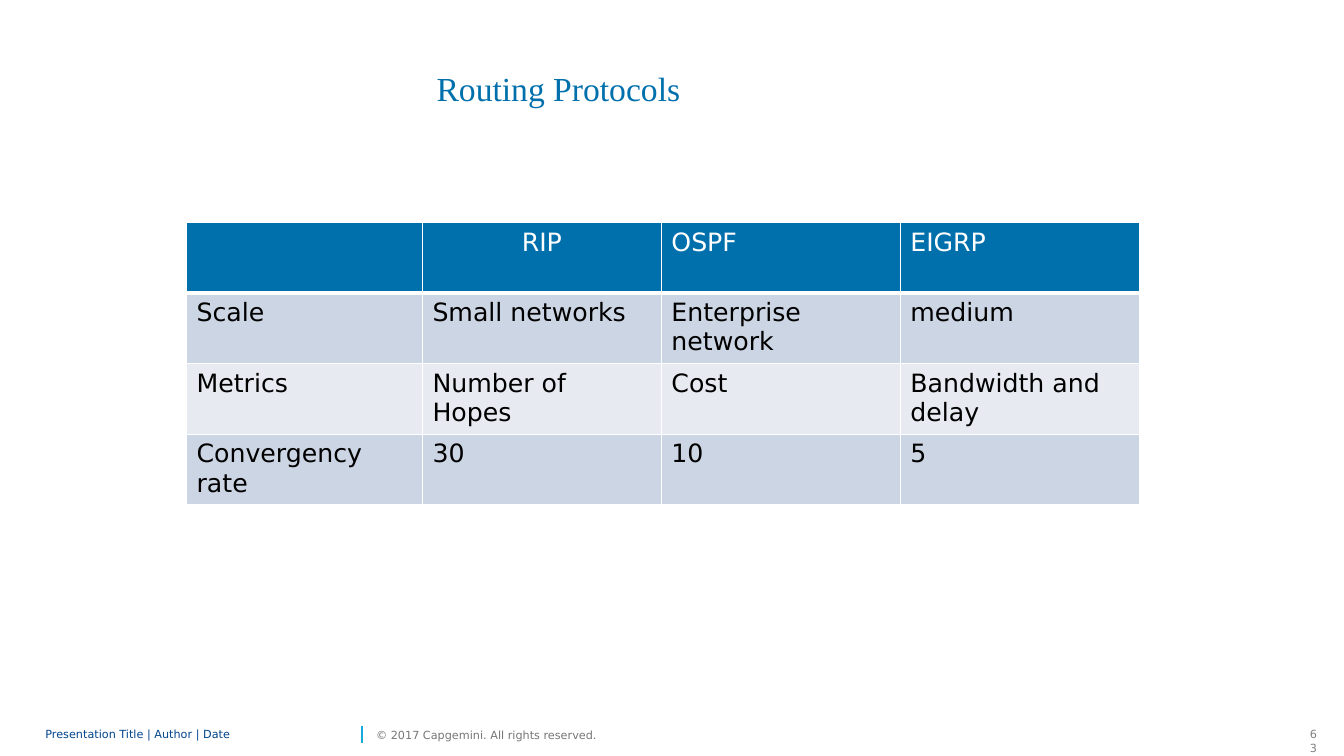
from dataclasses import dataclass

from lxml import etree
from pptx import Presentation
from pptx.dml.color import RGBColor
from pptx.enum.shapes import MSO_CONNECTOR
from pptx.enum.text import MSO_ANCHOR, PP_ALIGN
from pptx.oxml.ns import qn
from pptx.util import Inches, Pt

LEFT, CENTER, RIGHT = PP_ALIGN.LEFT, PP_ALIGN.CENTER, PP_ALIGN.RIGHT
TOP, MIDDLE = MSO_ANCHOR.TOP, MSO_ANCHOR.MIDDLE
STRAIGHT = MSO_CONNECTOR.STRAIGHT

SANS, SERIF = "DejaVu Sans", "Times New Roman"
BLUE, WHITE, BLACK = "0070AD", "FFFFFF", "000000"
BANDS = ("CCD5E3", "E7EBF1")
COLS = (2.34, 2.37, 2.37, 2.37)
ROW = 0.7
ROWS = (
    ("", "RIP", "OSPF", "EIGRP"),
    ("Scale", "Small networks", "Enterprise network", "medium"),
    ("Metrics", "Number of Hopes", "Cost", "Bandwidth and delay"),
    ("Convergency rate", "30", "10", "5"),
)


@dataclass
class Note:
    text: str
    left: float
    width: float
    color: str
    inset: float = 0
    wrap: bool = True
    align: PP_ALIGN = LEFT
    anchor: MSO_ANCHOR = MIDDLE
    space: float = 1.0


NOTES = (
    Note("Presentation Title | Author | Date", 0.45, 3.09, "00458D", space=0.85),
    Note("© 2017 Capgemini. All rights reserved.", 3.73, 2.43, "767676", wrap=False),
    Note("63", 12.89, 0.27, "808080", inset=0.1, align=RIGHT, anchor=TOP),
)


def rgb(code: str) -> RGBColor:
    return RGBColor.from_string(code)


def write(frame, text: str, *, size: float, color: str, font: str = SANS,
          align: PP_ALIGN = LEFT, space: float = 1.0) -> None:
    para = frame.paragraphs[0]
    para.alignment = align
    para.line_spacing = space
    para.font.size = Pt(size)
    if not text:
        return
    run = para.add_run()
    run.text = text
    run.font.name = font
    run.font.size = Pt(size)
    run.font.bold = False
    run.font.color.rgb = rgb(color)


def edge(cell, bottom: float) -> None:
    """Draw white borders; call before the cell's fill is set."""
    props = cell._tc.get_or_add_tcPr()
    for side, width in (("L", 1), ("R", 1), ("T", 1), ("B", bottom)):
        line = etree.SubElement(props, qn(f"a:ln{side}"), w=str(Pt(width)))
        fill = etree.SubElement(line, qn("a:solidFill"))
        etree.SubElement(fill, qn("a:srgbClr"), val=WHITE)


def add_title(slide) -> None:
    title = slide.shapes.title
    title.left, title.top = Inches(4.23), Inches(0.62)
    title.width, title.height = Inches(8.86), Inches(0.5)
    title.text_frame.vertical_anchor = TOP
    write(title.text_frame, "Routing Protocols", size=24, color=BLUE, font=SERIF)


def add_grid(slide) -> None:
    table = slide.shapes.add_table(
        len(ROWS), len(COLS), Inches(1.85), Inches(2.21),
        Inches(sum(COLS)), Inches(ROW * len(ROWS))).table
    for col, width in zip(table.columns, COLS):
        col.width = Inches(width)
    for r, words in enumerate(ROWS):
        table.rows[r].height = Inches(ROW)
        head = r == 0
        for c, text in enumerate(words):
            cell = table.cell(r, c)
            edge(cell, 3 if head else 1)
            cell.fill.solid()
            cell.fill.fore_color.rgb = rgb(BLUE if head else BANDS[(r - 1) % 2])
            write(cell.text_frame, text, size=18, color=WHITE if head else BLACK,
                  align=CENTER if text == "RIP" else LEFT)


def add_note(slide, note: Note) -> None:
    box = slide.shapes.add_textbox(
        Inches(note.left), Inches(7.17), Inches(note.width), Inches(0.24))
    frame = box.text_frame
    frame.word_wrap = note.wrap
    frame.vertical_anchor = note.anchor
    frame.margin_left = frame.margin_right = Inches(note.inset)
    frame.margin_top = frame.margin_bottom = Inches(note.inset / 2)
    write(frame, note.text, size=8, color=note.color,
          align=note.align, space=note.space)


def add_rule(slide) -> None:
    rule = slide.shapes.add_connector(
        STRAIGHT, Inches(3.59), Inches(7.37), Inches(3.59), Inches(7.2))
    rule.line.color.rgb = rgb("12ABDB")
    rule.line.width = Pt(1)
    etree.SubElement(rule._element.spPr, qn("a:effectLst"))


def main() -> None:
    deck = Presentation()
    deck.slide_width, deck.slide_height = Inches(13.33), Inches(7.5)
    slide = deck.slides.add_slide(deck.slide_layouts[5])
    add_title(slide)
    add_grid(slide)
    add_rule(slide)
    for note in NOTES:
        add_note(slide, note)
    deck.save("out.pptx")


if __name__ == "__main__":
    main()
